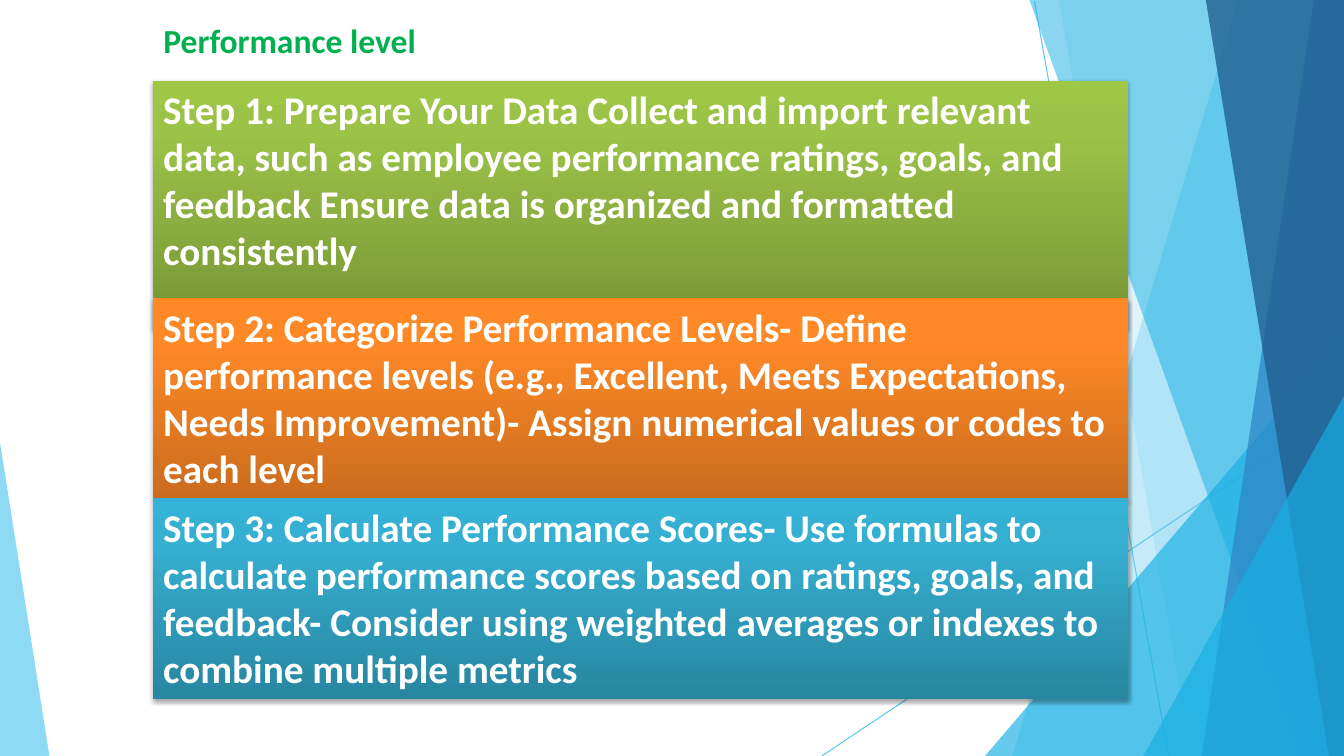
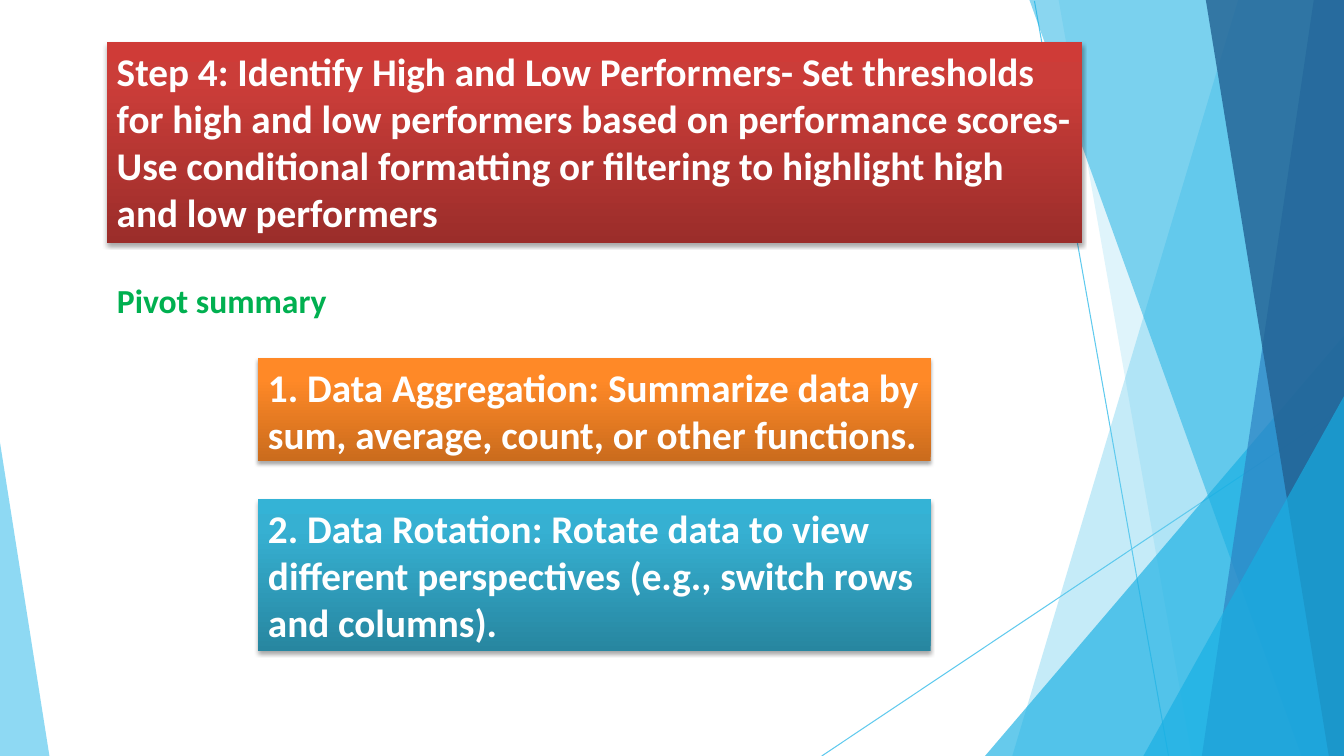
from copy import deepcopy
from dataclasses import dataclass

from pptx import Presentation, util as u
from pptx.dml.color import RGBColor
from pptx.enum import shapes, text
from pptx.oxml import parse_xml
from pptx.oxml.ns import nsdecls, qn


@dataclass(frozen=True)
class Theme:
    font: str = "Calibri"
    head: int = 24
    body: int = 28
    white: str = "FFFFFF"
    title: str = "00B050"
    sky: str = "5FCAEE"
    aqua: str = "17AFE3"
    blue: str = "2D83C3"
    navy: str = "226192"
    green: tuple = ("769535", "9BC348", "9DC745")
    orange: tuple = ("CB6C1D", "FF8927", "FF8A29")
    teal: tuple = ("2786A0", "36B0D2", "34B3D6")
    red: tuple = ("9B2D2A", "CB3D39", "CF3B37")
    stops: tuple = (0, 0.8, 1)


T = Theme()
WIDE, HIGH = 13.33, 7.5

RAYS = [
    ((10.26, 0.01), (11.59, HIGH)),
    ((WIDE, 4.04), (8.15, HIGH)),
]
EDGE = (WIDE, HIGH)
FACETS = [
    (T.sky, 36, [(WIDE, 0), (12.28, 0), (10.04, HIGH), EDGE]),
    (T.sky, 20, [(WIDE, 0), (10.5, 0), (11.82, HIGH), EDGE]),
    (T.aqua, 66, [(WIDE, 3.33), (9.77, HIGH), EDGE]),
    (T.aqua, 50, [(WIDE, 0), (10.21, 0), (12.91, HIGH), EDGE]),
    (T.blue, 70, [(WIDE, 0), (13.03, 0), (11.92, HIGH), EDGE]),
    (T.navy, 80, [(WIDE, 0), (11.96, 0), (13.18, HIGH), EDGE]),
    (T.aqua, 66, [(WIDE, 3.93), (11.34, HIGH), EDGE]),
    (T.sky, 70, [(0, 4.39), (0, HIGH), (0.49, HIGH)]),
]


def rgb(code):
    return RGBColor.from_string(code)


def point(pair):
    return tuple(u.Inches(v) for v in pair)


def ray(slide, start, end):
    line = slide.shapes.add_connector(
        shapes.MSO_CONNECTOR.STRAIGHT, *point(start), *point(end))
    line.line.color.rgb = rgb(T.sky)
    line.line.width = u.Pt(0.75)
    line.element.spPr.append(parse_xml(f"<a:effectLst {nsdecls('a')}/>"))
    return line


def facet(slide, color, alpha, points):
    first, *rest = map(point, points)
    pen = slide.shapes.build_freeform(*first)
    pen.add_line_segments(rest, close=True)
    shape = pen.convert_to_shape()
    shape.shadow.inherit = False
    shape.line.fill.background()
    shape.fill.solid()
    shape.fill.fore_color.rgb = rgb(color)
    tint = next(shape.element.spPr.iter(qn("a:srgbClr")))
    tint.append(parse_xml(f'<a:alpha {nsdecls("a")} val="{alpha * 1000}"/>'))
    return shape


def backdrop(slide):
    parts = [ray(slide, *ends) for ends in RAYS]
    parts += [facet(slide, *item) for item in FACETS]
    tree = slide.slide_layout.shapes.element
    for spot, part in enumerate(parts, 2):
        tree.insert(spot, part.element)


def write(shape, words, size, color):
    frame = shape.text_frame
    frame.text = words
    frame.word_wrap = True
    frame.auto_size = text.MSO_AUTO_SIZE.NONE
    frame.vertical_anchor = text.MSO_ANCHOR.TOP
    para = frame.paragraphs[0]
    para.alignment = text.PP_ALIGN.LEFT
    para.font.name = T.font
    para.font.size = u.Pt(size)
    para.font.bold = True
    para.font.color.rgb = rgb(color)


def title(slide, left, top, words):
    shape = slide.shapes.title
    shape.left, shape.top = point((left, top))
    shape.width, shape.height = point((6.67, 0.5))
    write(shape, words, T.head, T.title)


def shade(shape, colors):
    shape.fill.gradient()
    shape.fill.gradient_angle = 90
    stops = next(shape.element.spPr.iter(qn("a:gsLst")))
    stops.append(deepcopy(stops[0]))
    for stop, place, color in zip(shape.fill.gradient_stops, T.stops, colors):
        stop.position = place
        stop.color.rgb = rgb(color)


def shadow(shape):
    shape.shadow.inherit = False
    effects = shape.element.spPr.find(qn("a:effectLst"))
    effects.append(parse_xml(
        f'<a:outerShdw {nsdecls("a")} blurRad="{u.Pt(3.1)}" '
        f'dist="{u.Pt(1.8)}" dir="5400000" rotWithShape="0">'
        '<a:srgbClr val="000000"><a:alpha val="35000"/></a:srgbClr>'
        '</a:outerShdw>'))


def card(slide, box, colors, words):
    shape = slide.shapes.add_shape(shapes.MSO_SHAPE.RECTANGLE, *point(box))
    shape.line.fill.background()
    shade(shape, colors)
    shadow(shape)
    write(shape, words, T.body, T.white)


def levels(slide):
    title(slide, 1.52, 0.15, "Performance level")
    steps = [
        (0.8, 2.46, T.green,
         "Step 1: Prepare Your Data Collect and import relevant data, such as "
         "employee performance ratings, goals, and feedback Ensure data is "
         "organized and formatted consistently"),
        (2.96, 1.99, T.orange,
         "Step 2: Categorize Performance Levels- Define performance levels "
         "(e.g., Excellent, Meets Expectations, Needs Improvement)- Assign "
         "numerical values or codes to each level"),
        (4.94, 1.99, T.teal,
         "Step 3: Calculate Performance Scores- Use formulas to calculate "
         "performance scores based on ratings, goals, and feedback- Consider "
         "using weighted averages or indexes to combine multiple metrics"),
    ]
    for top, high, colors, words in steps:
        card(slide, (1.52, top, 9.67, high), colors, words)


def pivot(slide):
    title(slide, 1.06, 2.73, "Pivot summary")
    card(slide, (1.06, 0.42, 9.67, 1.99), T.red,
         "Step 4: Identify High and Low Performers- Set thresholds for high "
         "and low performers based on performance scores- Use conditional "
         "formatting or filtering to highlight high and low performers")
    card(slide, (2.56, 3.55, 6.67, 1.02), T.orange,
         "1. Data Aggregation: Summarize data by sum, average, count, or "
         "other functions.")
    card(slide, (2.56, 4.95, 6.67, 1.51), T.teal,
         "2. Data Rotation: Rotate data to view different perspectives "
         "(e.g., switch rows and columns).")


def main():
    deck = Presentation()
    deck.slide_width, deck.slide_height = point((WIDE, HIGH))
    layout = deck.slide_layouts.get_by_name("Title Only")
    first, second = [deck.slides.add_slide(layout) for _ in range(2)]
    backdrop(first)
    levels(first)
    pivot(second)
    deck.save("out.pptx")


if __name__ == "__main__":
    main()
